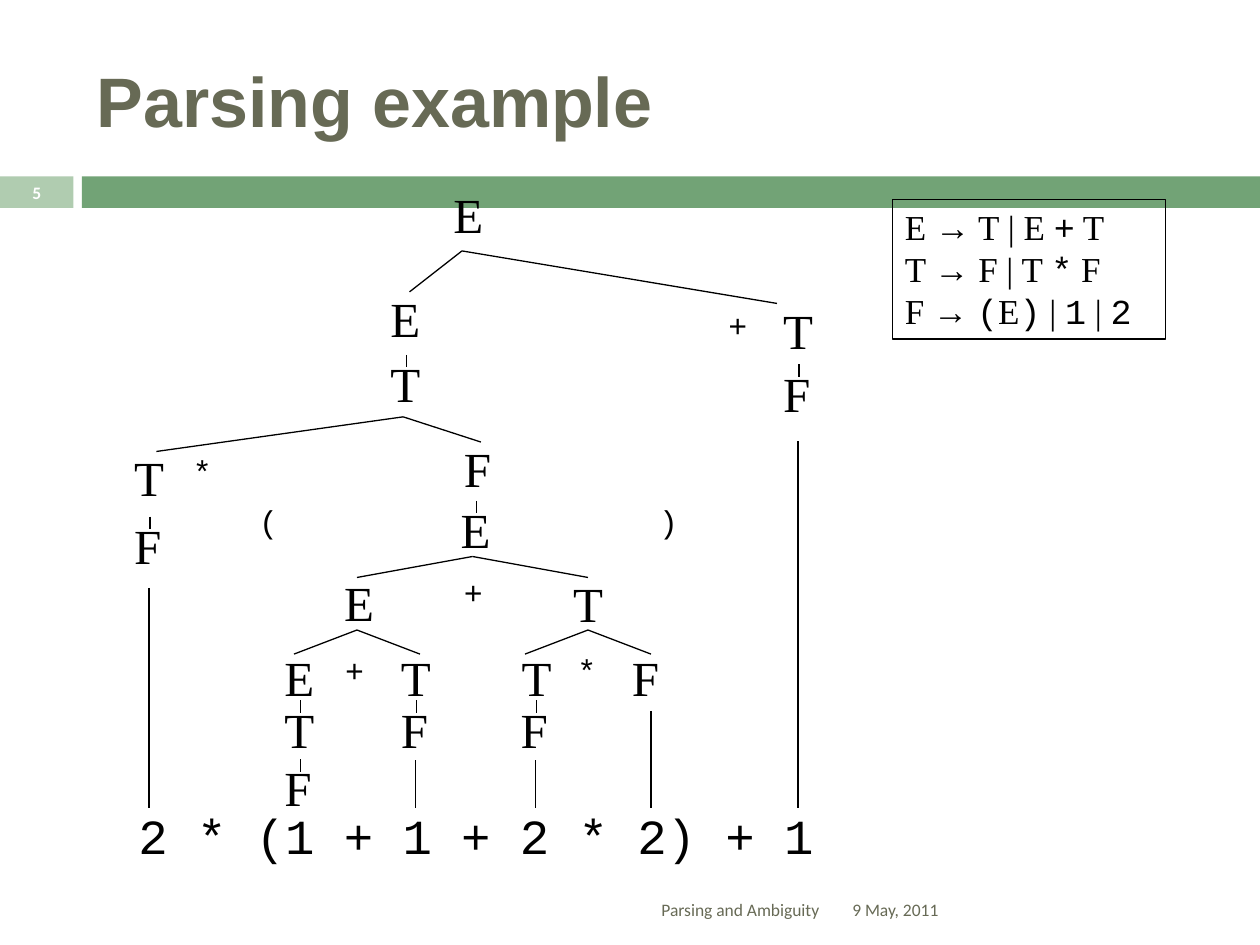
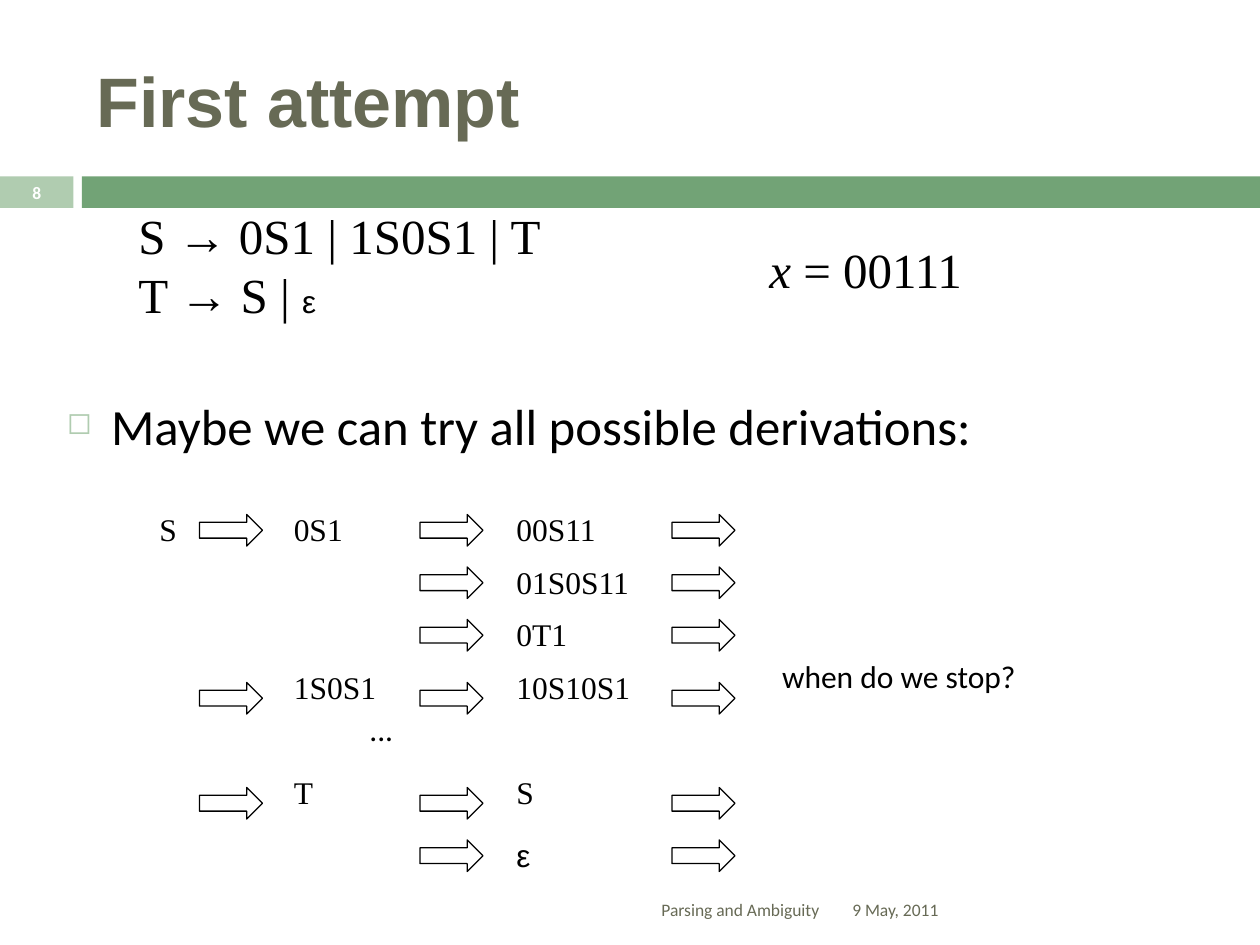
from itertools import groupby

from lxml import etree
from pptx import Presentation
from pptx.dml.color import RGBColor
from pptx.enum.shapes import MSO_CONNECTOR, MSO_SHAPE
from pptx.enum.text import MSO_ANCHOR, MSO_AUTO_SIZE, PP_ALIGN
from pptx.oxml.ns import qn
from pptx.util import Inches, Pt

RECTANGLE, ARROW = MSO_SHAPE.RECTANGLE, MSO_SHAPE.RIGHT_ARROW
STRAIGHT = MSO_CONNECTOR.STRAIGHT
TOP, MIDDLE = MSO_ANCHOR.TOP, MSO_ANCHOR.MIDDLE
LEFT, CENTER, RIGHT = PP_ALIGN.LEFT, PP_ALIGN.CENTER, PP_ALIGN.RIGHT
GROW, FIXED = MSO_AUTO_SIZE.SHAPE_TO_FIT_TEXT, MSO_AUTO_SIZE.NONE

# Grid: 120 columns by 90 rows, twelve to the inch
COLUMNS, ROWS, PER_INCH = 120, 90, 12

BLACK, WHITE, OLIVE = "000000", "FFFFFF", "676A55"
GREEN, PALE_GREEN = "72A376", "B0CCB0"
SERIF, SANS, MONO, BODY = "Times New Roman", "Arial", "Courier New", "Calibri"

SYMBOL = {"name": SERIF, "size": 28, "color": BLACK}
TERMINAL = {"name": MONO, "size": 18, "color": BLACK}
STRING = {"name": SERIF, "size": 18, "color": BLACK}
REMARK = {"name": BODY, "size": 18, "color": BLACK}
EPSILON = {"name": SANS, "size": 18, "color": BLACK}
TITLE = {"name": SANS, "size": 40, "color": OLIVE, "bold": True}
FOOTER = {"name": BODY, "size": 10, "color": OLIVE}
NUMBER = {"name": BODY, "size": 10, "color": WHITE, "bold": True}


def grid(*cells):
    return [Inches(cell / PER_INCH) for cell in cells]


def color(hex_code):
    return RGBColor.from_string(hex_code)


class Page:
    """Shared style and the slide being drawn."""

    def __init__(self, deck):
        self.deck = deck
        self.slide = None

    def start(self, title, number):
        layout = self.deck.slide_layouts[5]
        self.slide = self.deck.slides.add_slide(layout)
        # Bands
        self.shape(RECTANGLE, (0, 16.8, 7, 3), fill=PALE_GREEN)
        self.shape(RECTANGLE, (7.8, 16.8, 112.2, 3), fill=GREEN)
        # Title
        box = self.slide.shapes.title
        box.left, box.top, box.width, box.height = grid(8, 3, 107, 13)
        self.fill_text(box, [[(title, TITLE)]], vertical_anchor=MIDDLE)
        # Footer and number
        for words, frame, style, align in [
                ("9 May, 2011", (80, 84.2, 35, 4.8), FOOTER, LEFT),
                (str(number), (0, 16.7, 7, 3.2), NUMBER, CENTER),
                ("Parsing and Ambiguity", (8, 84.2, 71.2, 4.8), FOOTER, RIGHT)]:
            box = self.slide.shapes.add_textbox(*grid(*frame))
            self.fill_text(box, [[(words, style)]], align, vertical_anchor=MIDDLE)

    def fill_text(self, box, lines, align=LEFT, **settings):
        """Fill a box with lines, each a list of (words, style) spans."""
        frame = box.text_frame
        defaults = {"word_wrap": True, "auto_size": FIXED, "vertical_anchor": TOP}
        for key, value in {**defaults, **settings}.items():
            setattr(frame, key, value)
        for index, spans in enumerate(lines):
            para = frame.paragraphs[0] if index == 0 else frame.add_paragraph()
            para.alignment = align
            for words, style in spans:
                span = para.add_run()
                span.text = words
                for key, value in style.items():
                    if key == "color":
                        span.font.color.rgb = color(value)
                    else:
                        setattr(span.font, key, Pt(value) if key == "size" else value)

    def label(self, lines, frame):
        box = self.slide.shapes.add_textbox(*grid(*frame))
        self.fill_text(box, lines, word_wrap=False, auto_size=GROW)

    def word(self, words, column, row, style):
        """One short label, as wide as its letters need."""
        width, height = 1.9 * len(words) + 2.4, 6
        self.label([[(words, style)]], (column, row, width, height))

    def shape(self, kind, frame, fill=None, line=None):
        shape = self.slide.shapes.add_shape(kind, *grid(*frame))
        shape.shadow.inherit = False
        if fill:
            shape.fill.solid()
            shape.fill.fore_color.rgb = color(fill)
        else:
            shape.fill.background()
        if line:
            shape.line.color.rgb = color(line)
            shape.line.width = Pt(0.75)
        else:
            shape.line.fill.background()
        return shape

    def line(self, *ends):
        line = self.slide.shapes.add_connector(STRAIGHT, *grid(*ends))
        line.line.color.rgb = color(BLACK)
        line.line.width = Pt(0.75)
        etree.SubElement(line._element.spPr, qn("a:effectLst"))

    def node(self, symbol, column, row, only_child=False):
        """A grammar symbol; an only child has a short tick above it."""
        width = 5 if symbol == "F" else 5.5
        if only_child:
            self.line(column + 2.7, row + 0.7, column + 2.7, row + 1.9)
        self.label([[(symbol, SYMBOL)]], (column, row, width, 6.8))

    def bullet(self, words, frame, style):
        box = self.slide.shapes.add_textbox(*grid(*frame))
        indent = Inches(0.35)
        props = box.text_frame.paragraphs[0]._p.get_or_add_pPr()
        props.set("marL", str(indent))
        props.set("indent", str(-indent))
        tint = etree.SubElement(props, qn("a:buClr"))
        etree.SubElement(tint, qn("a:srgbClr"), val=PALE_GREEN)
        etree.SubElement(props, qn("a:buSzPct"), val="60000")
        etree.SubElement(props, qn("a:buChar"), char="◻")
        self.fill_text(box, [[(words, style)]])


def grammar_spans(rule):
    """Terminals in monospace, the rest in serif."""
    return [("".join(letters), {"name": MONO if terminal else SERIF,
                                "size": 20, "color": BLACK})
            for terminal, letters in groupby(rule, lambda letter: letter in "+*()12")]


def parsing_example(page):
    page.start("Parsing example", 5)

    # Grammar
    box = page.shape(RECTANGLE, (85, 19, 26, 13.3), line=BLACK)
    rules = ["E → T | E + T", "T → F | T * F", "F → (E) | 1 | 2"]
    page.fill_text(box, [grammar_spans(rule) for rule in rules])

    # Parsed expression
    page.label([[("2 * (1 + 1 + 2 * 2) + 1", {**SYMBOL, "name": MONO})]],
               (12, 76.1, 67.4, 6.8))

    # Branches: top point, then the points below it
    for top, *ends in [
            ((44, 23.9), (39, 27.8), (74, 28.9)),
            ((38.4, 39.7), (14.9, 43), (45.8, 42.1)),
            ((45, 53), (34, 55), (56, 55)),
            ((34, 60), (28, 62.3), (40, 62.3)),
            ((56, 60), (50, 62.3), (62, 62.3))]:
        for end in ends:
            page.line(*top, *end)

    # Symbols that share a parent
    for symbol, column, row in [
            ("E", 42, 17), ("E", 36, 26.9), ("T", 73.4, 28),
            ("T", 11.6, 42), ("F", 43, 41.2), ("E", 31.6, 53.9), ("T", 53.4, 54),
            ("E", 25.9, 61.1), ("T", 37, 61.1), ("T", 48.5, 61.1), ("F", 59, 61.1)]:
        page.node(symbol, column, row)

    # Symbols that are only children
    for symbol, column, row in [
            ("T", 36, 33.1), ("F", 73.4, 34), ("F", 11.6, 48.5), ("E", 42.7, 47),
            ("T", 25.9, 66), ("F", 25.9, 71.6), ("F", 37, 66), ("F", 48.4, 66)]:
        page.node(symbol, column, row, only_child=True)

    # Terminals
    for symbol, column, row in [
            ("+", 68.2, 28.6), ("*", 17.2, 42.5), ("(", 23.5, 47.2), (")", 61.6, 47.2),
            ("+", 43, 54), ("+", 31.7, 61.4), ("*", 53.8, 61.4)]:
        page.word(symbol, column, row, TERMINAL)

    # Stems down to the expression
    for column, row in [(14.2, 56), (39.6, 72.4), (51, 72.4), (62, 67.7), (76, 42)]:
        page.line(column, row, column, 77)


def first_attempt(page):
    page.start("First attempt", 8)

    # Grammar and input
    page.label([[("S → 0S1 | 1S0S1 | T", SYMBOL)],
                [("T → S | ", SYMBOL), ("ε", EPSILON)]], (12, 19, 41.5, 12.4))
    page.label([[("x", {**SYMBOL, "italic": True}), (" = 00111", SYMBOL)]],
               (72.1, 22.2, 21.1, 6.8))
    page.bullet("Maybe we can try all possible derivations:",
                (5.2, 37, 109.7, 8), {"name": BODY, "size": 29, "color": BLACK})

    # Derivations: arrow row, text row, first step, second step
    page.word("S", 14, 48, STRING)
    for arrow_row, text_row, first, second in [
            (49, 48, "0S1", "00S11"), (54, 53, None, "01S0S11"),
            (59, 58, None, "0T1"), (65, 63, "1S0S1", "10S10S1"),
            (75, 73, "T", "S"), (80, 79, None, "ε")]:
        for column in (19, 40, 64) if first else (40, 64):
            page.shape(ARROW, (column, arrow_row, 6, 3), line=BLACK)
        if first:
            page.word(first, 26.8, text_row, STRING)
        page.word(second, 48, text_row, EPSILON if second == "ε" else STRING)

    # Remarks
    page.word("...", 34, 67, REMARK)
    page.word("when do we stop?", 73.3, 62, REMARK)


def main():
    deck = Presentation()
    deck.slide_width, deck.slide_height = grid(COLUMNS, ROWS)
    page = Page(deck)
    parsing_example(page)
    first_attempt(page)
    deck.save("out.pptx")


if __name__ == "__main__":
    main()
